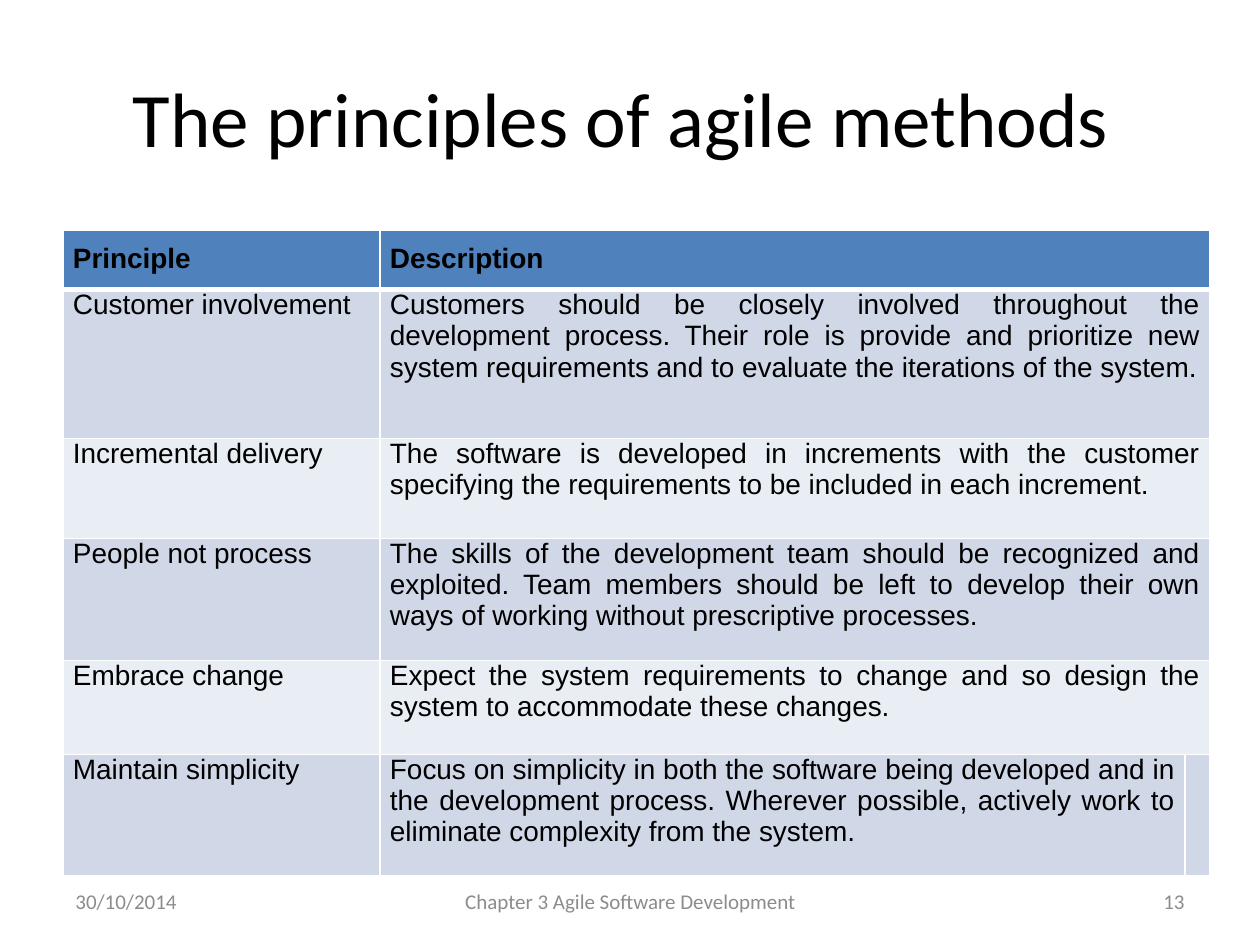
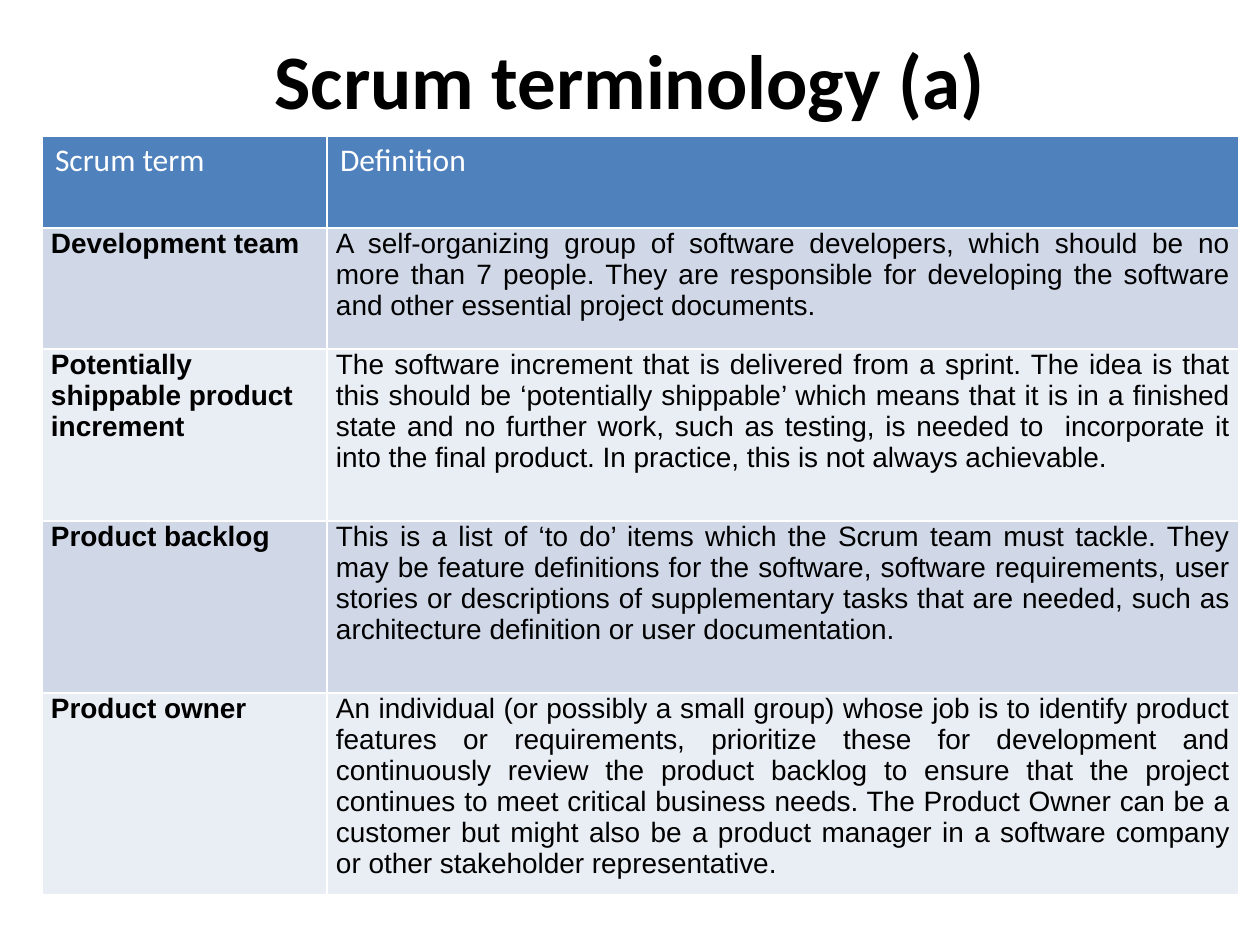
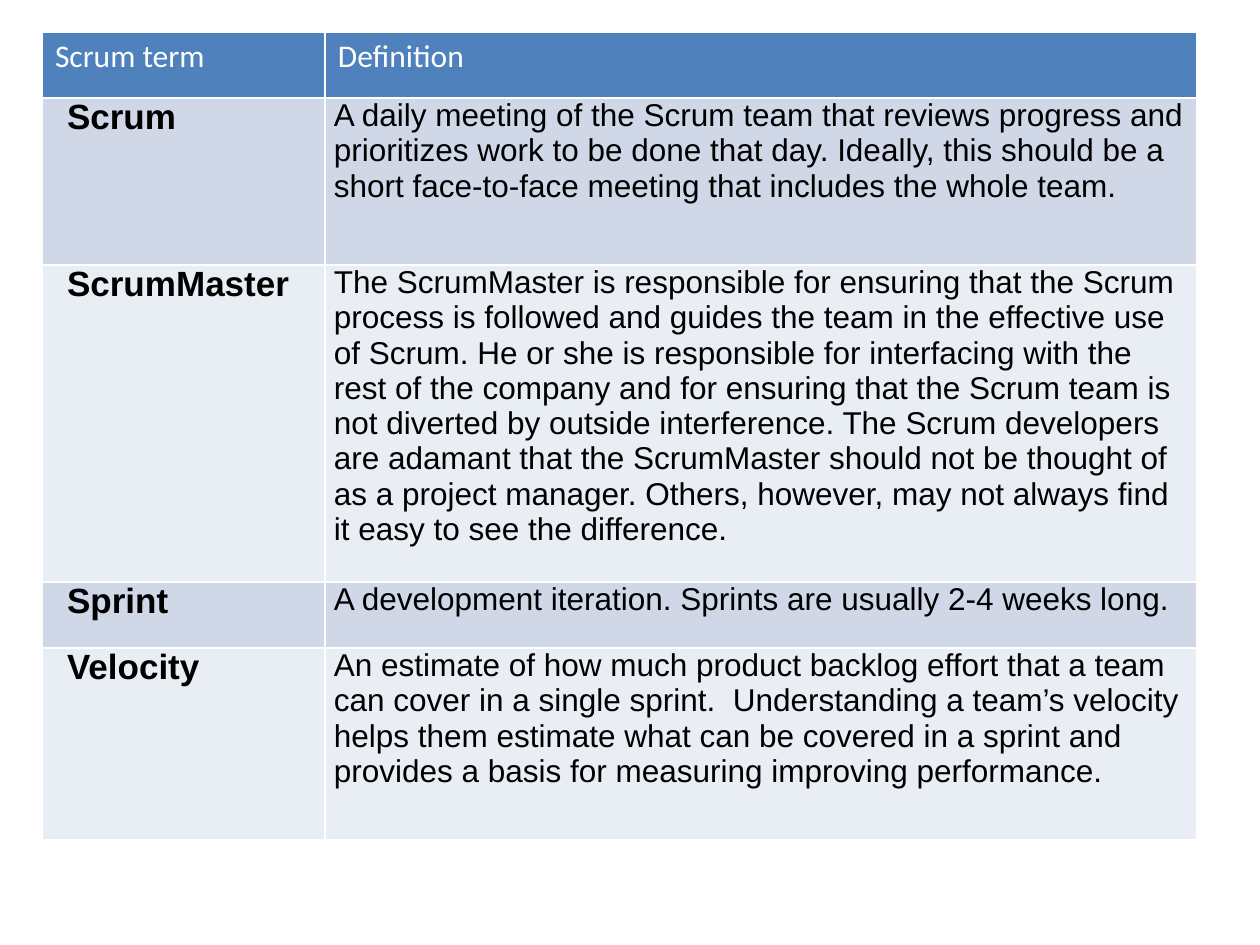
from pptx import Presentation
from pptx.dml.color import RGBColor
from pptx.enum.text import MSO_ANCHOR, PP_ALIGN
from pptx.oxml import parse_xml
from pptx.oxml.ns import nsdecls
from pptx.util import Pt

SCALE = 914400 / 126
COLORS = {"head": "4F81BD", "odd": "D0D8E8", "even": "E9EDF4",
          "line": "FFFFFF", "light": "FFFFFF", "dark": "000000", "gray": "8C8C8C"}
LEFT, MID, RIGHT, FULL = PP_ALIGN.LEFT, PP_ALIGN.CENTER, PP_ALIGN.RIGHT, PP_ALIGN.JUSTIFY


def px(num):
    return round(num * SCALE)


def look(size, font="Arial", color="dark", bold=False, align=LEFT, indent=0, inset=(9, 0, 9, 0)):
    return dict(size=size, font=font, color=color, bold=bold, align=align,
                indent=indent, inset=inset)


class Deck:
    def __init__(self):
        self.prs = Presentation()
        self.prs.slide_width, self.prs.slide_height = px(1260), px(945)
        self.slide = None

    def page(self):
        self.slide = self.prs.slides.add_slide(self.prs.slide_layouts[6])

    def words(self, frame, text, style):
        para = frame.paragraphs[0]
        para.text = text
        para.alignment = style["align"]
        if style["indent"]:
            para._p.get_or_add_pPr().set("indent", str(px(style["indent"])))
        font = para.font
        for run in para.runs:
            font = run.font
        font.name, font.size, font.bold = style["font"], Pt(style["size"]), style["bold"]
        font.color.rgb = RGBColor.from_string(COLORS[style["color"]])

    def label(self, text, left, top, width, height, style):
        frame = self.slide.shapes.add_textbox(px(left), px(top), px(width), px(height)).text_frame
        frame.word_wrap = True
        frame.vertical_anchor = MSO_ANCHOR.MIDDLE
        self.words(frame, text, style)

    def title(self, text, top, bold=False):
        self.label(text, 63, top, 1134, 158, look(44, "Calibri", bold=bold, align=MID))

    def footer(self, date, text, num):
        for part, left, width, align in ((date, 63, 294, LEFT), (text, 431, 399, MID),
                                         (num, 903, 294, RIGHT)):
            self.label(part, left, 876, width, 50, look(12, "Calibri", "gray", align=align))

    def edge(self, cell, widths):
        props = cell._tc.get_or_add_tcPr()
        for side, width in zip("LRTB", widths):
            props.append(parse_xml(
                f'<a:ln{side} {nsdecls("a")} w="{Pt(width)}"><a:solidFill>'
                f'<a:srgbClr val="{COLORS["line"]}"/></a:solidFill></a:ln{side}>'))

    def cell(self, cell, text, fill, style, widths):
        self.edge(cell, widths)
        cell.fill.solid()
        cell.fill.fore_color.rgb = RGBColor.from_string(COLORS[fill])
        (cell.margin_left, cell.margin_top,
         cell.margin_right, cell.margin_bottom) = map(px, style["inset"])
        self.words(cell.text_frame, text, style)

    def table(self, left, top, cols, highs, rows, head, term, body, rule=1):
        grid = self.slide.shapes.add_table(len(highs), len(cols), px(left), px(top),
                                           px(sum(cols)), px(sum(highs))).table
        grid.first_row = grid.horz_banding = False
        for col, width in zip(grid.columns, cols):
            col.width = px(width)
        for row, high in zip(grid.rows, highs):
            row.height = px(high)
        for i, row in enumerate(rows):
            fill = "head" if i == 0 else "odd" if i % 2 else "even"
            widths = (1, 1, rule if i == 1 else 1, rule if i == 0 else 1)
            for j in range(len(cols)):
                style = head if i == 0 else body if j else term
                text = row[j] if j < len(row) else ""
                self.cell(grid.cell(i, j), text, fill, style, widths)
            if len(row) < len(cols):
                grid.cell(i, len(row) - 1).merge(grid.cell(i, len(cols) - 1))


AIMS = [
    ("Principle", "Description"),
    ("Customer involvement",
     "Customers should be closely involved throughout the development process. Their role is "
     "provide and prioritize new system requirements and to evaluate the iterations of the system."),
    ("Incremental delivery",
     "The software is developed in increments with the customer specifying the requirements "
     "to be included in each increment."),
    ("People not process",
     "The skills of the development team should be recognized and exploited. Team members should "
     "be left to develop their own ways of working without prescriptive processes."),
    ("Embrace change",
     "Expect the system requirements to change and so design the system to accommodate "
     "these changes."),
    ("Maintain simplicity",
     "Focus on simplicity in both the software being developed and in the development process. "
     "Wherever possible, actively work to eliminate complexity from the system.", ""),
]
TOP = ("Scrum term", "Definition")
TEAM = [
    TOP,
    ("Development team",
     "A self-organizing group of software developers, which should be no more than 7 people. They "
     "are responsible for developing the software and other essential project documents."),
    ("Potentially shippable product increment",
     "The software increment that is delivered from a sprint. The idea is that this should be "
     "‘potentially shippable’ which means that it is in a finished state and no further work, such "
     "as testing, is needed to  incorporate it into the final product. In practice, this is not "
     "always achievable."),
    ("Product backlog",
     "This is a list of ‘to do’ items which the Scrum team must tackle. They may be feature "
     "definitions for the software, software requirements, user stories or descriptions of "
     "supplementary tasks that are needed, such as architecture definition or user documentation."),
    ("Product owner",
     "An individual (or possibly a small group) whose job is to identify product features or "
     "requirements, prioritize these for development and continuously review the product backlog "
     "to ensure that the project continues to meet critical business needs. The Product Owner can "
     "be a customer but might also be a product manager in a software company or other "
     "stakeholder representative."),
]
WORK = [
    TOP,
    ("Scrum",
     "A daily meeting of the Scrum team that reviews progress and prioritizes work to be done that "
     "day. Ideally, this should be a short face-to-face meeting that includes the whole team."),
    ("ScrumMaster",
     "The ScrumMaster is responsible for ensuring that the Scrum process is followed and guides "
     "the team in the effective use of Scrum. He or she is responsible for interfacing with the "
     "rest of the company and for ensuring that the Scrum team is not diverted by outside "
     "interference. The Scrum developers are adamant that the ScrumMaster should not be thought of "
     "as a project manager. Others, however, may not always find it easy to see the difference."),
    ("Sprint", "A development iteration. Sprints are usually 2-4 weeks long."),
    ("Velocity",
     "An estimate of how much product backlog effort that a team can cover in a single sprint.  "
     "Understanding a team’s velocity helps them estimate what can be covered in a sprint and "
     "provides a basis for measuring improving performance."),
]


def main():
    deck = Deck()
    head = look(18, "Calibri", "light", inset=(13, 6, 13, 6))

    deck.page()
    deck.title("The principles of agile methods ", 38)
    plain = look(16, align=FULL, inset=(10, 0, 10, 13))
    deck.table(63, 230, (317, 805, 18), (55, 149, 100, 122, 94, 121), AIMS,
               look(16, bold=True, align=FULL, inset=(10, 13, 10, 13)), plain, plain, rule=3)
    deck.footer("30/10/2014", "Chapter 3 Agile Software Development", "13")

    deck.page()
    deck.title("Scrum terminology (a)", 0, bold=True)
    deck.table(42, 136, (285, 912), (92, 121, 172, 172, 186), TEAM,
               head, look(16, bold=True), look(16, align=FULL))

    deck.page()
    deck.table(42, 32, (283, 872), (66, 167, 317, 66, 192), WORK,
               head, look(20, bold=True, indent=16), look(18))

    deck.prs.save("out.pptx")


if __name__ == "__main__":
    main()
